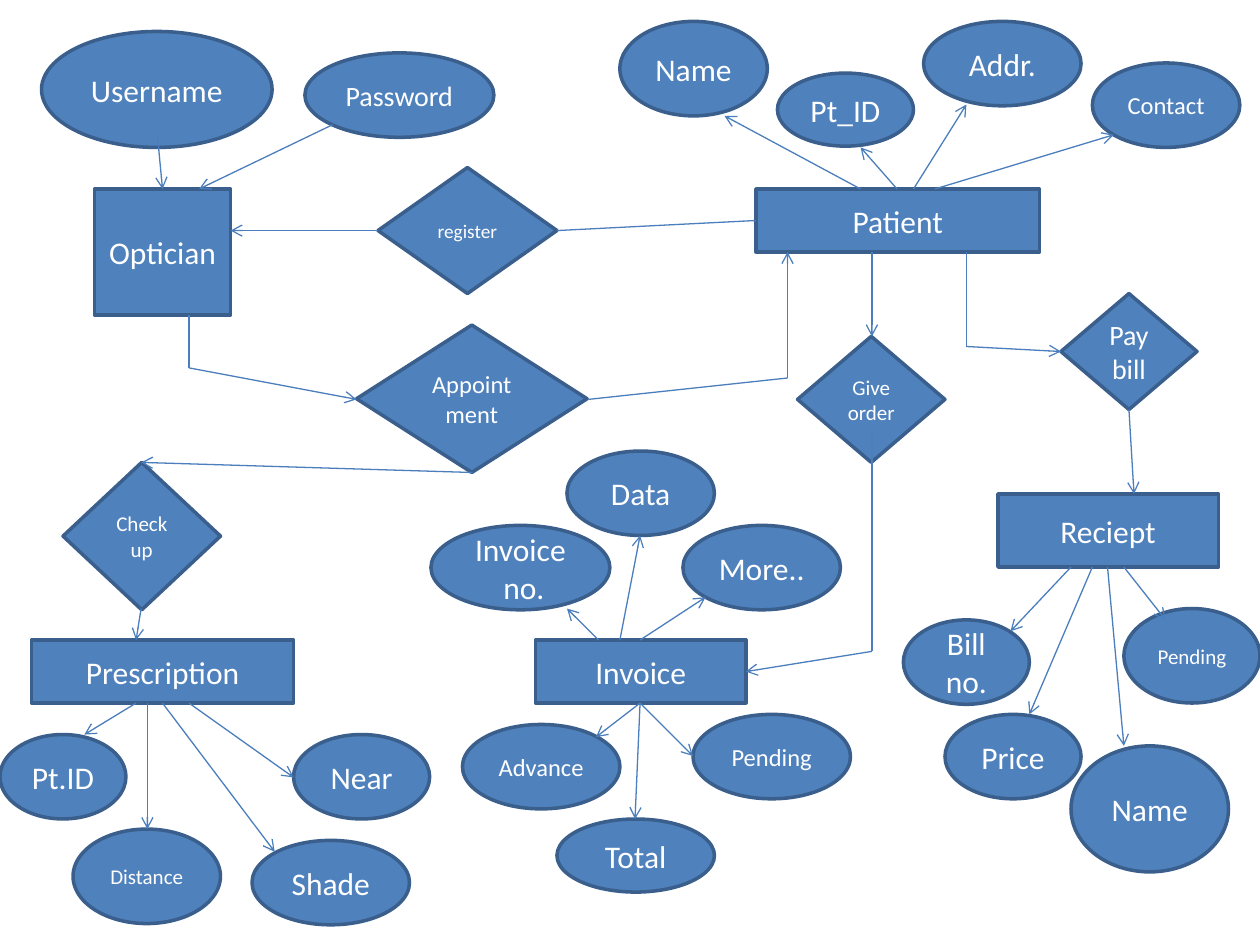
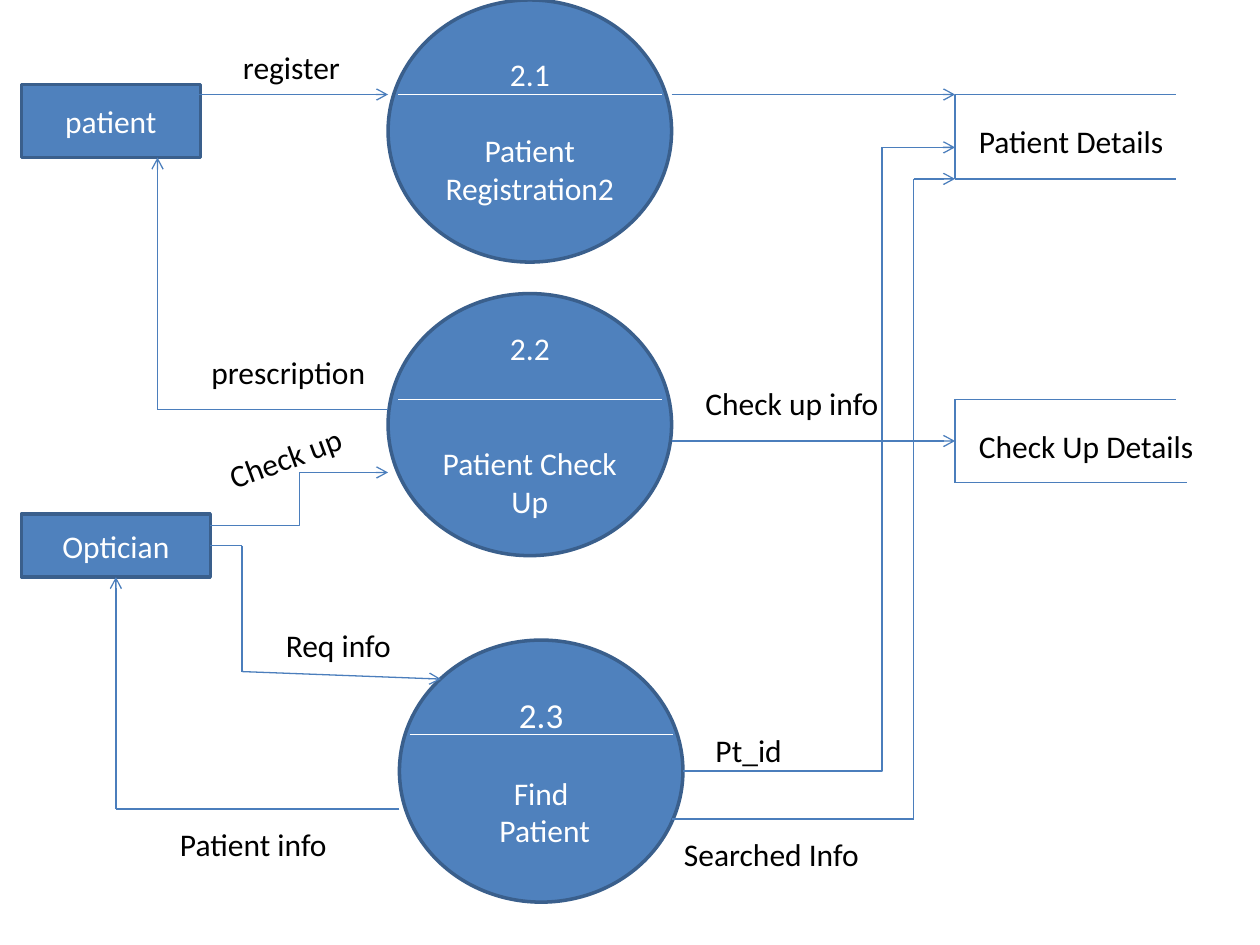
from pptx import Presentation
from pptx.util import Cm, Pt
from pptx.dml.color import RGBColor
from pptx.enum.shapes import MSO_SHAPE, MSO_CONNECTOR
from pptx.enum.text import PP_ALIGN, MSO_ANCHOR, MSO_AUTO_SIZE
from lxml.etree import SubElement
from pptx.oxml.ns import qn

FONT = "Calibri"
FILL, EDGE, WIRE = "4F81BD", "3A5F8C", "4B7EBC"
WHITE, BLACK = "FFFFFF", "000000"
OVAL, RECT, RHOMB = MSO_SHAPE.OVAL, MSO_SHAPE.RECTANGLE, MSO_SHAPE.DIAMOND

TABLES = [
    ("Optician", 0.75, 1.5, 1.08, 1),
    ("Patient", 6, 1.5, 2.25, 0.5),
    ("Prescription", 0.25, 5.08, 2.08, 0.5),
    ("Invoice", 4.25, 5.08, 1.67, 0.5),
    ("Reciept", 7.92, 3.92, 1.75, 0.58),
]
LINKS = [
    ("register", 3, 1.33, 1.42, 1, 11),
    ("Appointment", 2.83, 2.58, 1.83, 1.17, 14),
    ("Checkup", 0.5, 3.67, 1.25, 1.17, 12),
    ("Pay \nbill", 8.42, 2.33, 1.08, 0.92, 16),
    ("Give\norder", 6.33, 2.67, 1.17, 1, 12),
]
FIELDS = [
    ("Username", 0.33, 0.25, 1.83, 0.92),
    ("Password", 2.42, 0.42, 1.5, 0.67, 16),
    ("Name", 4.92, 0.17, 1.17, 0.75),
    ("Pt_ID", 6.17, 0.58, 1.08, 0.58),
    ("Addr.", 7.33, 0.17, 1.25, 0.67),
    ("Contact", 8.67, 0.5, 1.17, 0.67, 14),
    ("Pt.ID", 0, 5.83, 1, 0.67),
    ("Distance", 0.58, 6.58, 1.17, 0.75, 12),
    ("Shade", 2, 6.67, 1.25, 0.67),
    ("Near", 2.33, 5.83, 1.08, 0.67),
    ("Invoice\n no.", 3.42, 4.17, 1.42, 0.67),
    ("Data", 4.5, 3.58, 1.17, 0.67),
    ("More..", 5.42, 4.17, 1.25, 0.67),
    ("Advance", 3.67, 5.75, 1.25, 0.67, 14),
    ("Total", 4.42, 6.5, 1.25, 0.58),
    ("Pending", 5.5, 5.67, 1.25, 0.67, 14),
    ("Bill no.", 7.17, 4.92, 1, 0.67),
    ("Price", 7.5, 5.67, 1.08, 0.67),
    ("Pending", 8.92, 4.83, 1.08, 0.75, 12),
    ("Name", 8.5, 5.92, 1.25, 1),
]
FANS = [
    (1.5, [(6.83, 5.75, 0.92), (7.12, 6.83, 1.17), (7.25, 7.67, 0.83), (7.42, 8.84, 1.07)]),
    (5.58, [(1.08, 0.67, 5.83), (1.17, 1.17, 6.58), (1.29, 2.18, 6.76), (1.5, 2.33, 6.17)]),
    (5.08, [(4.75, 4.5, 4.83), (4.92, 5.08, 4.25), (5.08, 5.6, 4.74)]),
    (5.58, [(5.08, 4.73, 5.85), (5.08, 5.04, 6.5), (5.08, 5.5, 6)]),
    (4.5, [(8.5, 8.02, 5.01), (8.67, 8.17, 5.67), (8.79, 8.92, 5.92), (8.92, 9.25, 4.92)]),
]
ROUTES = [
    [(1.25, 1.08), (1.29, 1.5)],
    [(2.64, 0.99), (1.58, 1.5)],
    [(3, 1.83), (1.83, 1.83)],
    [(1.5, 2.5), (1.5, 2.92), (2.83, 3.17)],
    [(6.92, 2), (6.92, 2.67)],
    [(3.75, 3.75), (1.12, 3.67)],
    [(4.67, 3.17), (6.25, 3), (6.25, 2)],
    [(7.67, 2), (7.67, 2.75), (8.42, 2.79)],
    [(1.12, 4.83), (1.08, 5.08)],
    [(6.92, 3.42), (6.92, 5.17), (5.92, 5.33)],
    [(8.96, 3.25), (9, 3.92)],
]

ACTORS = [("patient", 0.17, 0.67, 1.42, 0.58), ("Optician", 0.17, 4.08, 1.5, 0.5)]
STEPS = [
    ("2.1", "Patient Registration2", 3.08, 0, 18, 22, 0.75),
    ("2.2", "Patient Check Up", 3.08, 2.33, 18, 44, 3.17),
    ("2.3", "Find\n Patient", 3.17, 5.08, 20, 22, 5.83),
]
STORES = [("Patient Details", 0.75, 1.42, 9.33, 1.68), ("Check Up Details", 3.17, 3.83, 9.42, 1.92)]
FLOWS = [
    [(1.58, 0.75), (3.08, 0.75)],
    [(5.33, 0.75), (7.58, 0.75)],
    [(3.08, 3.25), (1.25, 3.25), (1.25, 1.25)],
    [(3.17, 6.42), (0.92, 6.42), (0.92, 4.58)],
    [(1.67, 4.33), (1.92, 4.33), (1.92, 5.33), (3.5, 5.39)],
    [(5.33, 3.5), (7.58, 3.5)],
    [(7, 1.17), (7.58, 1.17)],
    [(5.33, 6.5), (7.25, 6.5), (7.25, 1.42), (7.58, 1.42)],
]
LABELS = [
    ("Check up", 1.7, 3.43, 1.14, -20.2),
    ("Req info", 2.17, 4.92, 1.05),
    ("Patient info", 1.33, 6.5, 1.38),
    ("prescription", 1.58, 2.75, 1.44),
    ("register", 1.83, 0.33, 0.98),
    ("Pt_id", 5.58, 5.75, 0.73),
    ("Searched Info", 5.33, 6.58, 1.61),
    ("Check up info", 5.5, 3, 1.59),
]


def inch(*nums):
    return [Cm(n * 2.54) for n in nums]


def tint(code):
    return RGBColor.from_string(code)


def write(frame, text, size, color, align):
    frame.text = text
    for par in frame.paragraphs:
        par.alignment = align
        par.font.name = FONT
        par.font.size = Pt(size)
        par.font.color.rgb = tint(color)


def node(slide, kind, text, x, y, w, h, size=18):
    shape = slide.shapes.add_shape(kind, *inch(x, y, w, h))
    shape.shadow.inherit = False
    shape.fill.solid()
    shape.fill.fore_color.rgb = tint(FILL)
    shape.line.color.rgb = tint(EDGE)
    shape.line.width = Pt(2)
    frame = shape.text_frame
    frame.word_wrap = True
    frame.vertical_anchor = MSO_ANCHOR.MIDDLE
    write(frame, text, size, WHITE, PP_ALIGN.CENTER)
    return frame.paragraphs


def wire(slide, start, end, arrow=False, color=WIRE, kind=MSO_CONNECTOR.STRAIGHT):
    line = slide.shapes.add_connector(kind, *inch(*start, *end))
    line.line.color.rgb = tint(color)
    line.line.width = Pt(0.75)
    if arrow:
        SubElement(line.line._get_or_add_ln(), qn("a:tailEnd"), type="arrow")
    SubElement(line._element.spPr, qn("a:effectLst"))
    return line


def route(slide, points):
    last = len(points) - 2
    for i, pair in enumerate(zip(points, points[1:])):
        wire(slide, *pair, arrow=i == last)


def label(slide, text, x, y, w, turn=0):
    box = slide.shapes.add_textbox(*inch(x, y, w, 0.4))
    box.rotation = turn
    box.text_frame.word_wrap = False
    box.text_frame.auto_size = MSO_AUTO_SIZE.SHAPE_TO_FIT_TEXT
    write(box.text_frame, text, 18, BLACK, PP_ALIGN.LEFT)


def model(slide):
    for kind, items in ((RECT, TABLES), (RHOMB, LINKS), (OVAL, FIELDS)):
        for item in items:
            node(slide, kind, *item)
    for y, rays in FANS:
        for x, *tip in rays:
            wire(slide, (x, y), tip, arrow=True)
    for points in ROUTES:
        route(slide, points)
    wire(slide, (4.42, 1.83), (6, 1.75))


def flow(slide):
    for item in ACTORS:
        node(slide, RECT, *item)
    for code, name, x, y, size, gap, rule in STEPS:
        pars = node(slide, OVAL, code + "\n" + name, x, y, 2.25, 2.08)
        pars[0].font.size = Pt(size)
        pars[1].space_before = Pt(gap)
        wire(slide, (x + 0.08, rule), (x + 2.17, rule), color=WHITE)
    left = 7.58
    for name, top, low, right, wide in STORES:
        wire(slide, (left, top), (left, low))
        wire(slide, (left, top), (9.33, top))
        wire(slide, (left, low), (right, low))
        label(slide, name, 7.67, top + 0.17, wide)
    for points in FLOWS:
        route(slide, points)
    wire(slide, (1.67, 4.17), (3.08, 3.75), True, kind=MSO_CONNECTOR.ELBOW)
    bend = wire(slide, (5.42, 6.12), (7, 1.17), kind=MSO_CONNECTOR.ELBOW)
    bend._element.spPr.find(qn("a:prstGeom")).set("prst", "bentConnector2")
    for item in LABELS:
        label(slide, *item)


deck = Presentation()
deck.slide_width, deck.slide_height = inch(10, 7.5)
for draw in (model, flow):
    draw(deck.slides.add_slide(deck.slide_layouts[6]))
deck.save("out.pptx")
